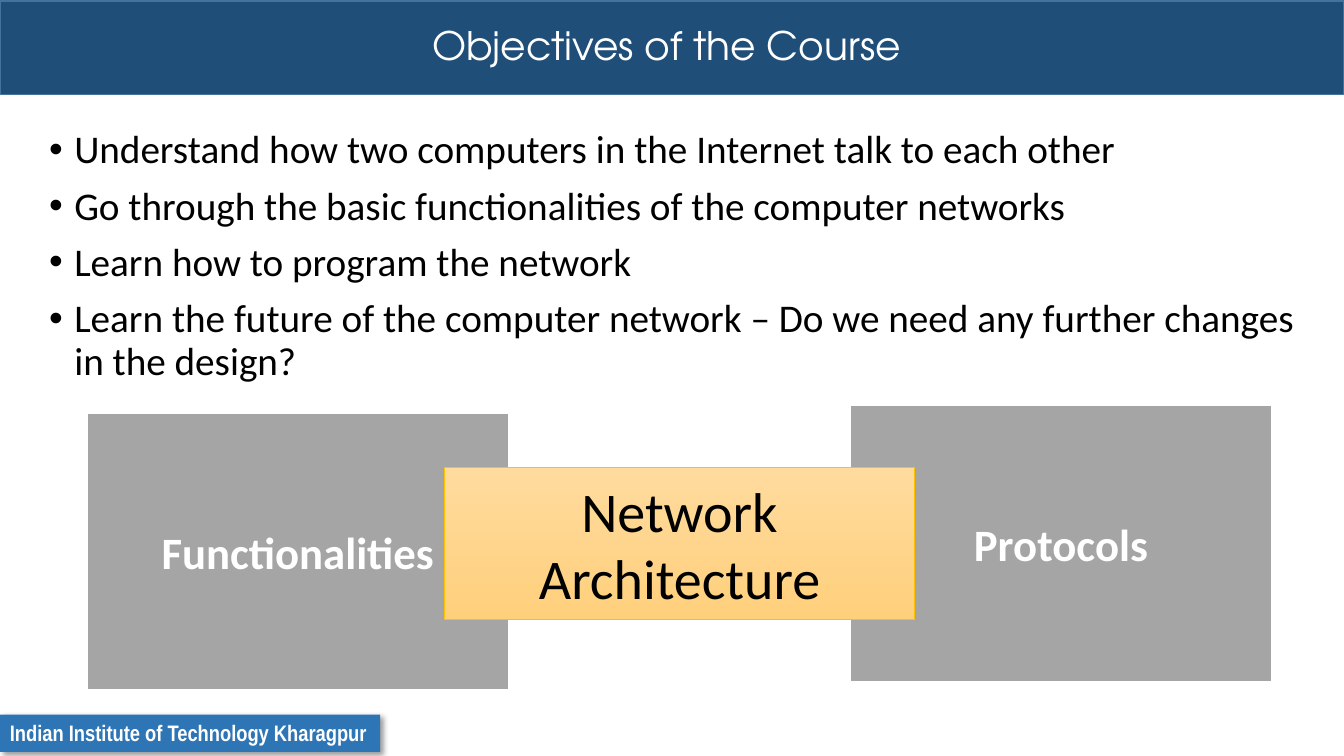
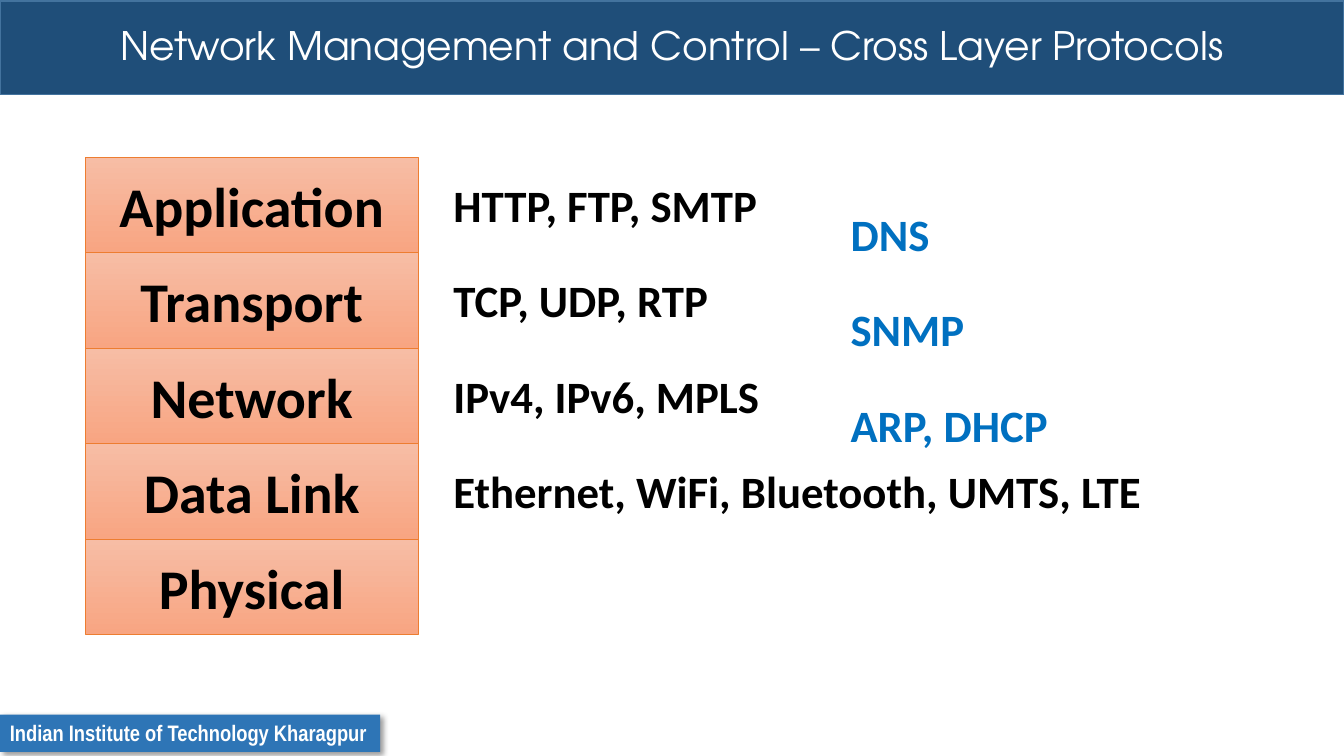
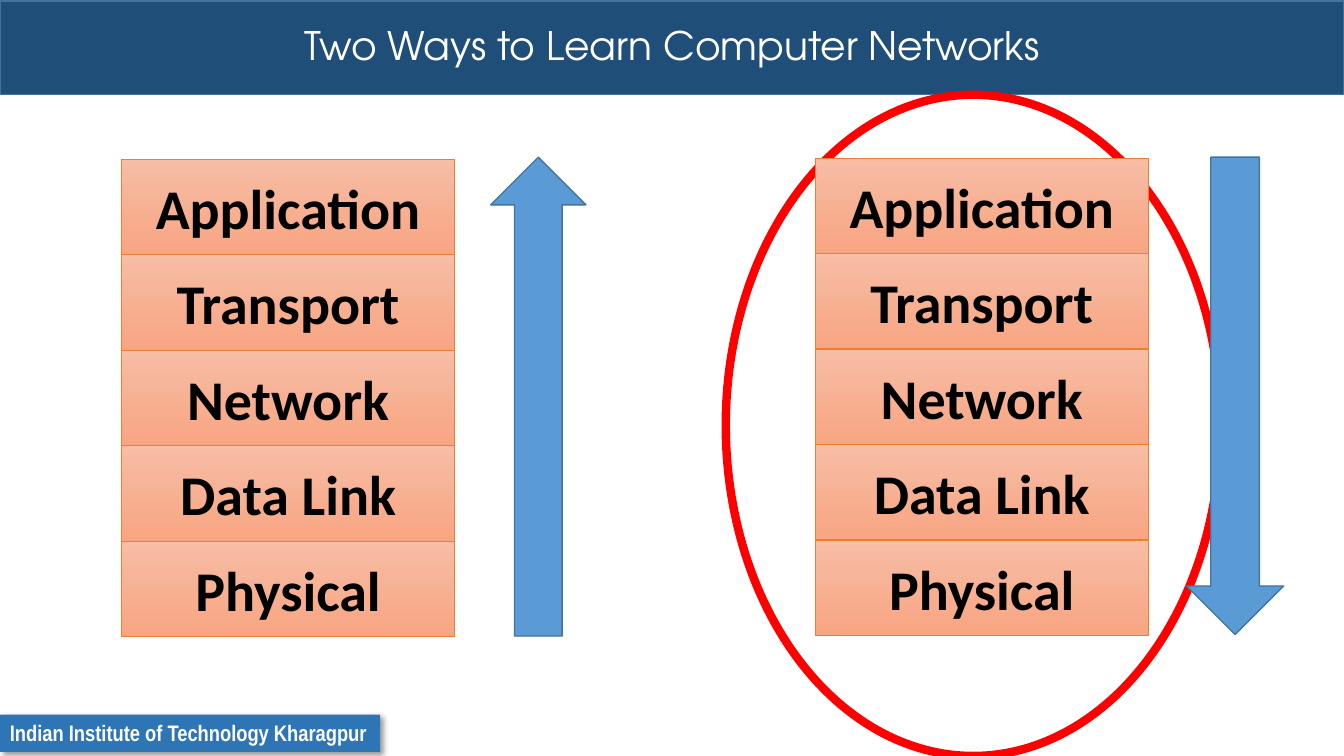
"""Build three slides of a computer networks course."""
from lxml import etree
from pptx import Presentation
from pptx.dml.color import RGBColor
from pptx.enum.shapes import MSO_SHAPE
from pptx.enum.text import MSO_ANCHOR, PP_ALIGN
from pptx.oxml.ns import qn
from pptx.util import Pt

RECT, ELLIPSE = MSO_SHAPE.RECTANGLE, MSO_SHAPE.OVAL
UP, DOWN = MSO_SHAPE.UP_ARROW, MSO_SHAPE.DOWN_ARROW
LEFT, CENTER = PP_ALIGN.LEFT, PP_ALIGN.CENTER
TOP, MIDDLE = MSO_ANCHOR.TOP, MSO_ANCHOR.MIDDLE

SLIDE_W, SLIDE_H = 960, 540
BODY_FONT, TITLE_FONT, FOOTER_FONT = "Calibri", "TeX Gyre Adventor", "Arial Narrow"
WHITE, BLACK, RED, GREY = "FFFFFF", "000000", "FF0000", "A5A5A5"
BAND, FOOTER, ARROW, EDGE, CROSS = "1F4E79", "2E75B6", "5B9BD5", "43739E", "0070C0"
ORANGE, ORANGE_EDGE = ("F7BDA5", "F8A582"), "ED7D31"
GOLD, GOLD_EDGE = ("FFDB9E", "FFD07C"), "FFC000"

LAYERS = ["Application", "Transport", "Network", "Data Link", "Physical"]
LAYER_W, LAYER_H, LAYER_STEP = 237.6, 68, 68.2


def rgb(code):
    """Return the colour for a hex string."""
    return RGBColor.from_string(code)


def write(sp, lines, size, color=BLACK, bold=False, font=BODY_FONT,
          align=LEFT, anchor=TOP, wrap=True):
    """Fill a shape with paragraphs of one style and return them."""
    tf = sp.text_frame
    tf.text = "\n".join(lines)
    tf.word_wrap = wrap
    tf.vertical_anchor = anchor
    for p in tf.paragraphs:
        p.alignment = align
        for r in p.runs:
            r.font.size, r.font.bold, r.font.name = Pt(size), bold, font
            r.font.color.rgb = rgb(color)
    return tf.paragraphs


def add_box(shapes, kind, box, fill, line=None, width=1):
    """Add a preset shape with a plain or two-colour vertical fill."""
    sp = shapes.add_shape(kind, *map(Pt, box))
    sp.shadow.inherit = False
    if isinstance(fill, tuple):
        sp.fill.gradient()
        sp.fill.gradient_angle = 270
        for stop, color in zip(sp.fill.gradient_stops, fill):
            stop.color.rgb = rgb(color)
    else:
        sp.fill.solid()
        sp.fill.fore_color.rgb = rgb(fill)
    if line:
        sp.line.color.rgb = rgb(line)
        sp.line.width = Pt(width)
    else:
        sp.line.fill.background()
    return sp


def add_label(s, text, box, color=BLACK):
    """Add a bold one-line label."""
    sp = s.shapes.add_textbox(*map(Pt, box))
    write(sp, [text], 32, color, bold=True, wrap=False)


def drop_shadow(sp):
    """Give a shape a soft shadow to the lower right."""
    effects = sp._element.spPr.find(qn("a:effectLst"))
    shadow = etree.SubElement(effects, qn("a:outerShdw"), blurRad=str(Pt(4)),
                              dist=str(Pt(3)), dir="2700000", algn="tl")
    color = etree.SubElement(shadow, qn("a:srgbClr"), val=BLACK)
    etree.SubElement(color, qn("a:alpha"), val="40000")


def new_slide(prs, title):
    """Add a blank slide with the title band and the footer tag."""
    s = prs.slides.add_slide(prs.slide_layouts[6])
    band = add_box(s.shapes, RECT, (0, 0.7, SLIDE_W, 67), BAND, EDGE)
    write(band, [title], 28, WHITE, font=TITLE_FONT, align=CENTER,
          anchor=MIDDLE)[0].line_spacing = 0.9
    tag = add_box(s.shapes, RECT, (0, 510.5, 271.5, 26.6), FOOTER)
    drop_shadow(tag)
    write(tag, ["Indian Institute of Technology Kharagpur"], 16, WHITE, True,
          FOOTER_FONT, wrap=False)
    return s


def bullet_list(s, box, lines):
    """Add a bulleted list."""
    sp = s.shapes.add_textbox(*map(Pt, box))
    for i, p in enumerate(write(sp, lines, 28)):
        p.line_spacing = 0.9
        p.space_before = Pt(10 if i else 0)
        pPr = p._p.get_or_add_pPr()
        pPr.set("marL", str(Pt(18)))
        pPr.set("indent", str(Pt(-18)))
        etree.SubElement(pPr, qn("a:buFont"), typeface="Arial")
        etree.SubElement(pPr, qn("a:buChar"), char="•")


def layer_stack(s, x, y):
    """Add the five protocol layers as a group."""
    shapes = s.shapes.add_group_shape().shapes
    for i, name in enumerate(LAYERS):
        box = (x, y + i * LAYER_STEP, LAYER_W, LAYER_H)
        sp = add_box(shapes, RECT, box, ORANGE, ORANGE_EDGE, 0.5)
        write(sp, [name], 40, bold=True, align=CENTER, anchor=MIDDLE)


def label_column(s, x, y, labels, color=BLACK):
    """Add labels at the pitch of the layers."""
    for i, (text, width) in enumerate(labels):
        add_label(s, text, (x, y + i * LAYER_STEP, width, 46), color)


def objectives_slide(prs):
    """Add the course objectives."""
    s = new_slide(prs, "Objectives of the Course ")
    bullet_list(s, (28, 89.3, 909.4, 421), [
        "Understand how two computers in the Internet talk to each other",
        "Go through the basic functionalities of the computer networks",
        "Learn how to program the network",
        "Learn the future of the computer network – Do we need any further "
        "changes in the design?",
    ])
    for name, x, y in (("Functionalities", 62, 294.8), ("Protocols", 607, 289.4)):
        sp = add_box(s.shapes, RECT, (x, y, 301.7, 198), GREY, WHITE, 1.5)
        write(sp, [name], 32, WHITE, True, align=CENTER, anchor=MIDDLE)
    sp = add_box(s.shapes, RECT, (317.4, 333.8, 336, 108.8), GOLD, GOLD_EDGE, 0.5)
    write(sp, ["Network Architecture"], 40, align=CENTER, anchor=MIDDLE)


def protocols_slide(prs):
    """Add the layers with their protocols."""
    s = new_slide(prs, "Network Management and Control – Cross Layer Protocols")
    y = 112.4
    layer_stack(s, 61, y)
    label_column(s, 316.8, y + 10.7, [
        ("HTTP, FTP, SMTP", 234), ("TCP, UDP, RTP", 198),
        ("IPv4, IPv6, MPLS", 234.7), ("Ethernet, WiFi, Bluetooth, UMTS, LTE", 511.2)])
    label_column(s, 600.5, y + 31.6, [
        ("DNS", 71.3), ("SNMP", 96.5), ("ARP, DHCP", 157)], CROSS)


def two_ways_slide(prs):
    """Add the bottom-up and top-down orders of learning."""
    s = new_slide(prs, "Two Ways to Learn Computer Networks")
    add_box(s.shapes, ELLIPSE, (518.4, 67.7, 353.5, 472.3), WHITE, RED, 6)
    layer_stack(s, 87, 113.8)
    layer_stack(s, 582.5, 113)
    add_box(s.shapes, DOWN, (847.5, 112.3, 69.5, 341), ARROW, EDGE)
    add_box(s.shapes, UP, (350.5, 112.3, 68, 342), ARROW, EDGE)


def main():
    """Build and save the slides."""
    prs = Presentation()
    prs.slide_width, prs.slide_height = Pt(SLIDE_W), Pt(SLIDE_H)
    objectives_slide(prs)
    protocols_slide(prs)
    two_ways_slide(prs)
    prs.save("out.pptx")


if __name__ == "__main__":
    main()
